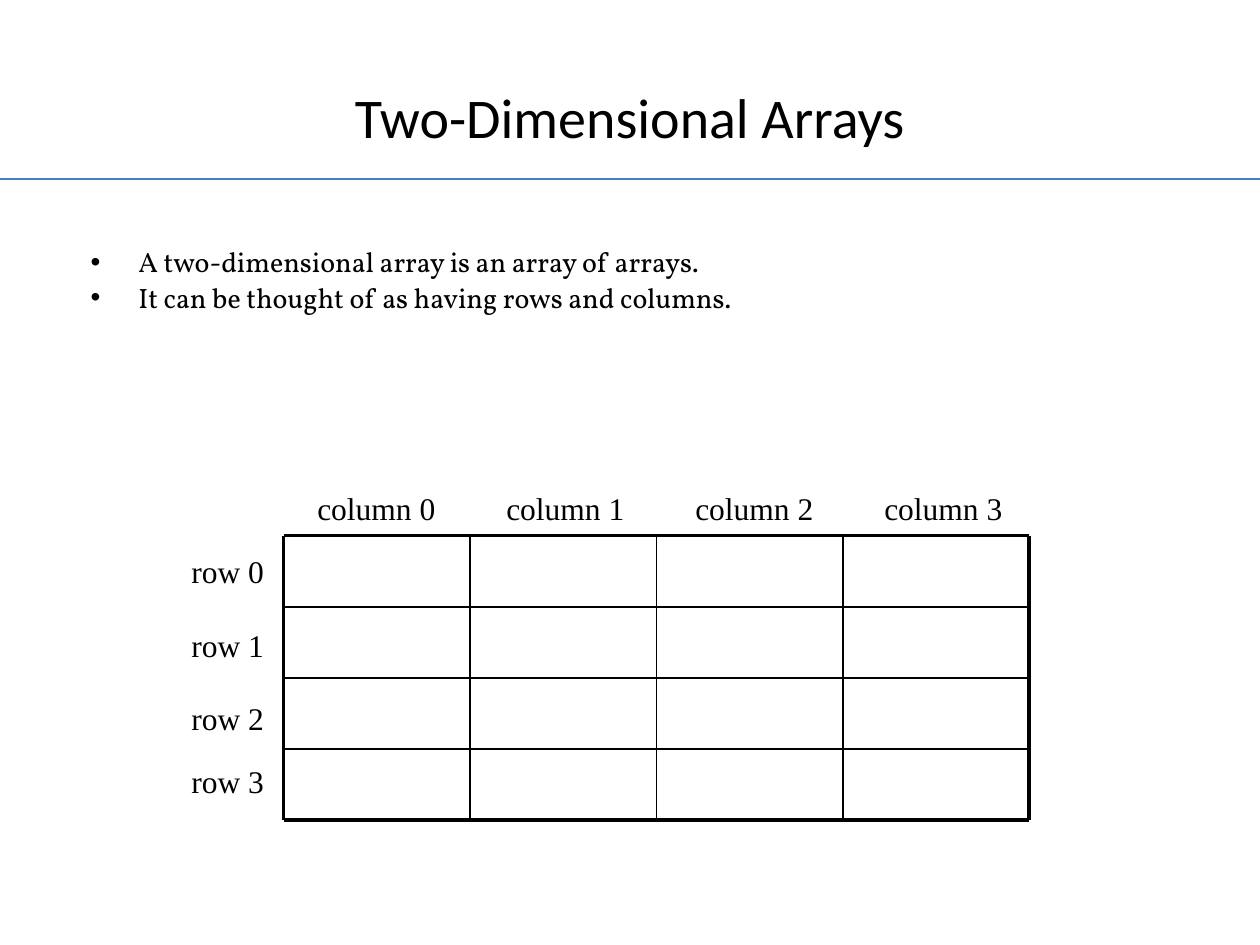
from lxml import etree
from pptx import Presentation
from pptx.dml.color import RGBColor
from pptx.enum import shapes, text
from pptx.oxml import ns
from pptx.util import Inches, Pt

title = "Two-Dimensional Arrays"
points = [
    "A two-dimensional array is an array of arrays.",
    "It can be thought of as having rows and columns.",
]
cols = ["column 0", "column 1", "column 2", "column 3"]
rows = [("row 0", 4.33), ("row 1", 4.92), ("row 2", 5.5), ("row 3", 6)]

theme = {
    "ink": "000000", "rule": "4B7EBC",
    "head": ("Calibri", 32), "body": ("Vollkorn", 16),
    "label": ("Times New Roman", 18),
    "thin": 1, "thick": 2.25, "hair": 0.75,
}
grid = {"left": 2.25, "top": 4.25, "right": 8.17, "foot": 6.51}

deck = Presentation()
deck.slide_width, deck.slide_height = Inches(10), Inches(7.5)
slide = deck.slides.add_slide(deck.slide_layouts[6])


def write(lines, box, font, align=text.PP_ALIGN.LEFT,
          anchor=text.MSO_ANCHOR.TOP, wrap=True, bullet=None):
    frame = slide.shapes.add_textbox(*map(Inches, box)).text_frame
    frame.word_wrap, frame.vertical_anchor = wrap, anchor
    if not wrap:
        frame.auto_size = text.MSO_AUTO_SIZE.SHAPE_TO_FIT_TEXT
    for i, line in enumerate(lines):
        para = frame.paragraphs[0] if i == 0 else frame.add_paragraph()
        para.alignment = align
        run = para.add_run()
        run.text = line
        run.font.name, run.font.size = font[0], Pt(font[1])
        run.font.color.rgb = RGBColor.from_string(theme["ink"])
        if bullet:
            para.line_spacing, para.space_before = 0.9, Pt(font[1] * 0.2)
            props = para._p.get_or_add_pPr()
            props.set("marL", str(Inches(0.38)))
            props.set("indent", str(Inches(-0.38)))
            face = etree.SubElement(props, ns.qn("a:buFont"))
            face.set("typeface", "Arial")
            mark = etree.SubElement(props, ns.qn("a:buChar"))
            mark.set("char", bullet)


def draw(x1, y1, x2, y2, width, color=theme["ink"]):
    line = slide.shapes.add_connector(
        shapes.MSO_CONNECTOR.STRAIGHT, *map(Inches, (x1, y1, x2, y2)))
    line.line.color.rgb = RGBColor.from_string(color)
    line.line.width = Pt(width)
    etree.SubElement(line._element.spPr, ns.qn("a:effectLst"))


draw(0, 1.42, 10, 1.42, theme["hair"], theme["rule"])
write([title], (0.5, 0.3, 9, 1.25), theme["head"],
      align=text.PP_ALIGN.CENTER, anchor=text.MSO_ANCHOR.MIDDLE)
write(points, (0.62, 1.92, 8.75, 2.11), theme["body"], bullet="•")

left, top, right, foot = grid.values()
for i in range(len(rows) + 1):
    y = top + i * (foot - top) / len(rows)
    draw(left, y, right, y, theme["thick" if i in (0, len(rows)) else "thin"])
for i in range(len(cols) + 1):
    x = left + i * (right - left) / len(cols)
    draw(x, top, x, foot, theme["thick" if i in (0, len(cols)) else "thin"])

for i, name in enumerate(cols):
    write([name], (2.42 + 1.5 * i, 3.83, 1.14, 0.4), theme["label"], wrap=False)
for name, y in rows:
    write([name], (1.42, y, 0.78, 0.4), theme["label"], wrap=False)

deck.save("out.pptx")
